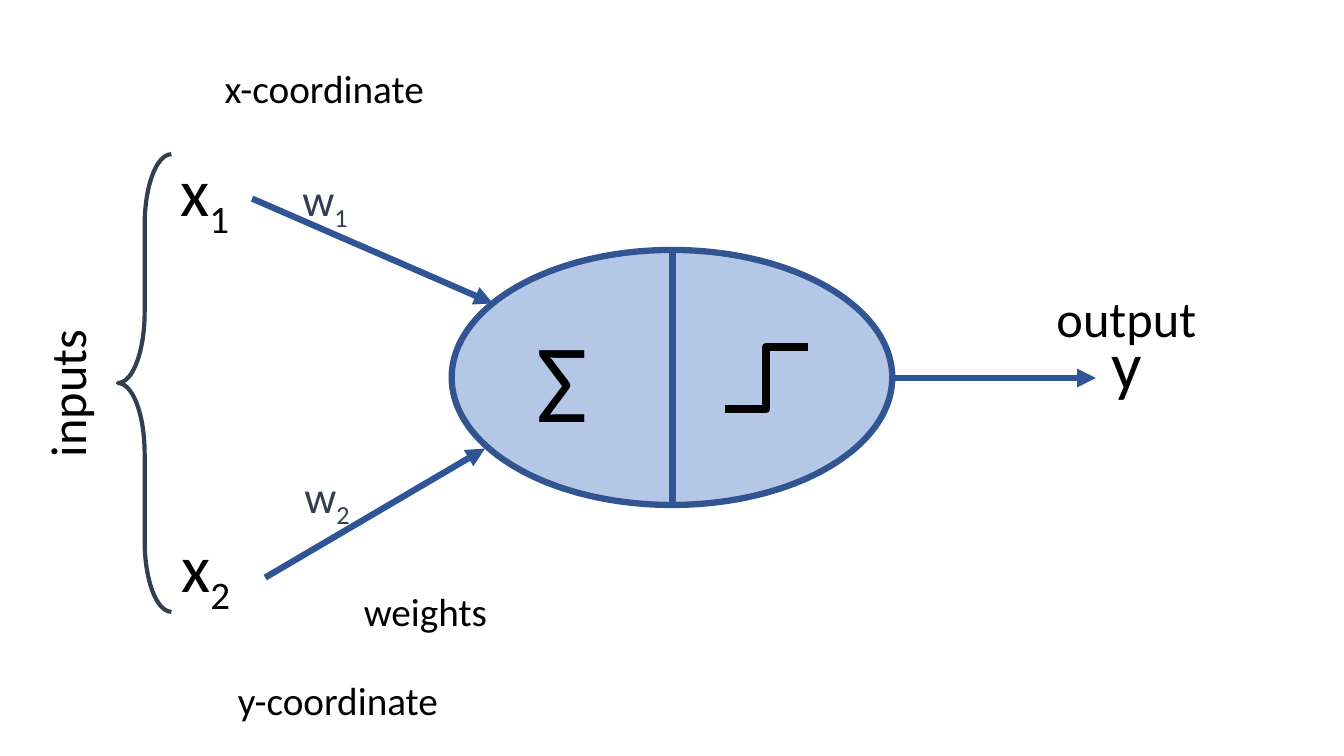
from lxml import etree
from pptx import Presentation
from pptx.dml.color import RGBColor
from pptx.enum.shapes import MSO_CONNECTOR, MSO_SHAPE
from pptx.enum.text import MSO_AUTO_SIZE
from pptx.oxml.ns import qn
from pptx.util import Inches, Pt

BLACK = RGBColor(0x00, 0x00, 0x00)
SLATE = RGBColor(0x33, 0x3F, 0x50)
BLUE = RGBColor(0x2F, 0x55, 0x97)
OUTLINE = RGBColor(0x32, 0x54, 0x91)
PALE_BLUE = RGBColor(0xB4, 0xC7, 0xE7)

deck = Presentation()
deck.slide_width, deck.slide_height = Inches(13.33), Inches(7.5)
page = deck.slides.add_slide(deck.slide_layouts[6])


def add_label(text, left, top, width, height, size, color=BLACK, subscript=""):
    box = page.shapes.add_textbox(Inches(left), Inches(top), Inches(width), Inches(height))
    frame = box.text_frame
    frame.word_wrap = False
    frame.auto_size = MSO_AUTO_SIZE.SHAPE_TO_FIT_TEXT
    para = frame.paragraphs[0]
    for part in filter(None, (text, subscript)):
        span = para.add_run()
        span.text = part
        span.font.name = "Calibri"
        span.font.size = Pt(size)
        span.font.color.rgb = color
    if subscript:
        span.font._element.set("baseline", "-25000")
    return box


def add_line(start, end, color=BLUE, width=4.5, kind=MSO_CONNECTOR.STRAIGHT, arrow=False):
    line = page.shapes.add_connector(kind, *map(Inches, start + end))
    line.line.color.rgb = color
    line.line.width = Pt(width)
    if arrow:
        etree.SubElement(line.line._get_or_add_ln(), qn("a:tailEnd"), type="triangle")
    etree.SubElement(line._element.spPr, qn("a:effectLst"))


# Neuron body, split into sum and step function
neuron = page.shapes.add_shape(MSO_SHAPE.OVAL, Inches(4.48), Inches(2.48), Inches(4.37), Inches(2.53))
neuron.shadow.inherit = False
neuron.fill.solid()
neuron.fill.fore_color.rgb = PALE_BLUE
neuron.line.color.rgb = OUTLINE
neuron.line.width = Pt(4.5)
add_line((6.67, 2.48), (6.67, 5.02))
add_label("Σ", 5.22, 3.03, 0.72, 1.45, 80)
add_line((7.19, 4.06), (8.01, 3.44), BLACK, 6, MSO_CONNECTOR.ELBOW)

# Arrows into and out of the neuron
for start, end in [
    ((2.5, 1.97), (4.89, 3.01)),
    ((2.63, 5.73), (4.81, 4.45)),
    ((8.85, 3.75), (10.87, 3.75)),
]:
    add_line(start, end, arrow=True)

# Inputs and their weights
for number, input_left, input_top, weight_left, weight_top in [
    ("1", 1.69, 1.43, 2.9, 1.65),
    ("2", 1.7, 5.16, 2.92, 4.6),
]:
    add_label("x", input_left, input_top, 0.72, 0.91, 48, subscript=number)
    add_label("w", weight_left, weight_top, 0.68, 0.64, 32, SLATE, number)

# Brace around the inputs
brace = page.shapes.add_shape(MSO_SHAPE.LEFT_BRACE, Inches(1.17), Inches(1.53), Inches(0.53), Inches(4.54))
brace.shadow.inherit = False
brace.adjustments[0] = 1.325
brace.adjustments[1] = 0.5
brace.fill.background()
brace.line.color.rgb = SLATE
brace.line.width = Pt(3)
add_label("inputs", -0.08, 3.54, 1.48, 0.71, 36).rotation = 270

# Output
add_label("y", 10.93, 3.15, 0.51, 0.91, 48)
add_label("output", 10.38, 2.8, 1.6, 0.71, 36)

# Captions
for caption, left, top, width in [
    ("weights", 3.51, 5.78, 1.44),
    ("y-coordinate", 2.26, 6.66, 2.22),
    ("x-coordinate", 2.13, 0.59, 2.21),
]:
    add_label(caption, left, top, width, 0.57, 28)

deck.save("out.pptx")
